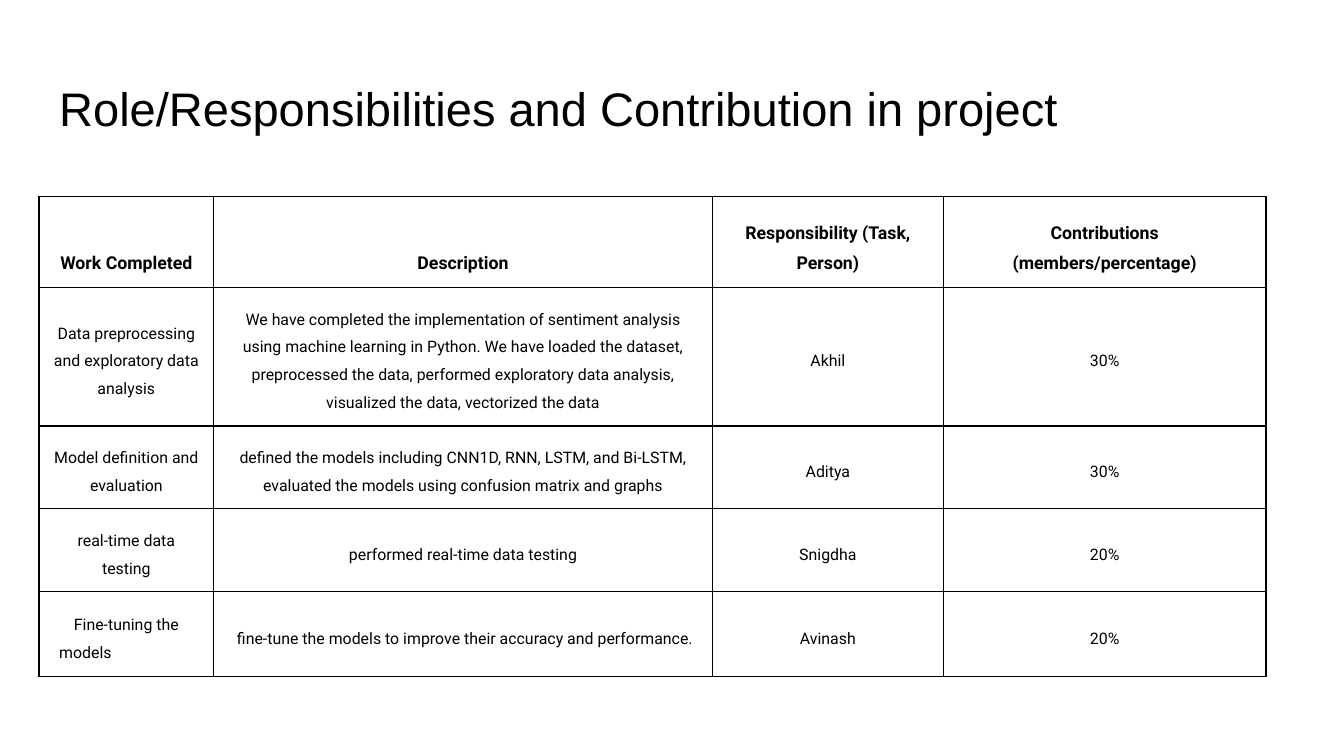
from lxml.etree import SubElement
from pptx import Presentation
from pptx.dml.color import RGBColor
from pptx.enum.text import MSO_ANCHOR as Anchor, PP_ALIGN as Align
from pptx.oxml.ns import qn
from pptx.util import Inches, Pt

BLACK = "000000"
COLS = [1.3, 3.71, 1.72, 2.4]
ROWS = [0.68, 1.03, 0.61, 0.62, 0.63]
CONTRIBUTIONS = [
    ("Work Completed", "Description", "Responsibility (Task, Person)",
     "Contributions (members/percentage)"),
    ("Data preprocessing and exploratory data analysis",
     "We have completed the implementation of sentiment analysis using machine "
     "learning in Python. We have loaded the dataset, preprocessed the data, "
     "performed exploratory data analysis, visualized the data, vectorized the data",
     "Akhil", "30%"),
    ("Model definition and evaluation",
     "defined the models including CNN1D, RNN, LSTM, and Bi-LSTM, "
     "evaluated the models using confusion matrix and graphs", "Aditya", "30%"),
    ("real-time data testing", "performed real-time data testing", "Snigdha", "20%"),
    ("Fine-tuning the models\t",
     " fine-tune the models to improve their accuracy and performance.",
     "Avinash", "20%"),
]


def rgb(color):
    """Turn a hex string into a colour."""
    return RGBColor.from_string(color)


def set_attrs(obj, **values):
    """Set each named attribute on an object."""
    for name, value in values.items():
        setattr(obj, name, value)


def set_margins(obj, inset):
    """Give a cell or text frame the same inset on all sides."""
    for side in ("left", "top", "right", "bottom"):
        setattr(obj, f"margin_{side}", Inches(inset))


def write(p, text, size, font, bold=False):
    """Write one formatted run into a paragraph."""
    r = p.add_run()
    r.text = text
    set_attrs(r.font, size=Pt(size), name=font, bold=bold)
    r.font.color.rgb = rgb(BLACK)


def add_borders(cell, color=BLACK, width=0.75):
    """Draw a solid line on the four sides of a cell."""
    tcPr = cell._tc.get_or_add_tcPr()
    for tag in ("a:lnL", "a:lnR", "a:lnT", "a:lnB"):
        ln = SubElement(tcPr, qn(tag), w=str(Pt(width)))
        fill = SubElement(ln, qn("a:solidFill"))
        SubElement(fill, qn("a:srgbClr"), val=color)


def add_tab_stop(p, position):
    """Set a left tab stop in a paragraph."""
    tabs = SubElement(p._p.get_or_add_pPr(), qn("a:tabLst"))
    SubElement(tabs, qn("a:tab"), pos=str(Inches(position)), algn="l")


def add_title(s, box, text):
    """Place the title placeholder in the box."""
    sp = s.shapes.title
    set_attrs(sp, **dict(zip(("left", "top", "width", "height"), map(Inches, box))))
    tf = sp.text_frame
    set_attrs(tf, word_wrap=True, vertical_anchor=Anchor.MIDDLE)
    set_margins(tf, 0.1)
    p = tf.paragraphs[0]
    p.alignment = Align.LEFT
    write(p, text, 25.2, "Arial")


def fill_cell(cell, text, header, inset):
    """Format one table cell and write its text."""
    add_borders(cell)
    cell.fill.background()
    cell.vertical_anchor = Anchor.BOTTOM if header else Anchor.MIDDLE
    set_margins(cell, inset)
    p = cell.text_frame.paragraphs[0]
    set_attrs(p, alignment=Align.CENTER, line_spacing=1.5)
    if "\t" in text:
        add_tab_stop(p, 1)
    write(p, text, 9.5 if header else 8.5, "Roboto", header)


def add_contributions(s, left, top):
    """Build the contribution table from its top left corner."""
    size = map(Inches, (left, top, sum(COLS), sum(ROWS)))
    table = s.shapes.add_table(len(ROWS), len(COLS), *size).table
    set_attrs(table, first_row=False, horz_banding=False)
    for col, width in zip(table.columns, COLS):
        col.width = Inches(width)
    for i, (row, height) in enumerate(zip(table.rows, ROWS)):
        row.height = Inches(height)
        for j, text in enumerate(CONTRIBUTIONS[i]):
            inset = 0 if (i, j) == (2, 1) else 0.1
            fill_cell(table.cell(i, j), text, i == 0, inset)


def main():
    """Build and save the 16:9 slide."""
    prs = Presentation()
    set_attrs(prs, slide_width=Inches(10), slide_height=Inches(10) * 9 // 16)
    s = prs.slides.add_slide(prs.slide_layouts[5])
    add_contributions(s, 0.29, 1.46)
    add_title(s, (0.34, 0.49, 9.32, 0.63),
              "Role/Responsibilities and Contribution in project")
    prs.save("out.pptx")


main()
